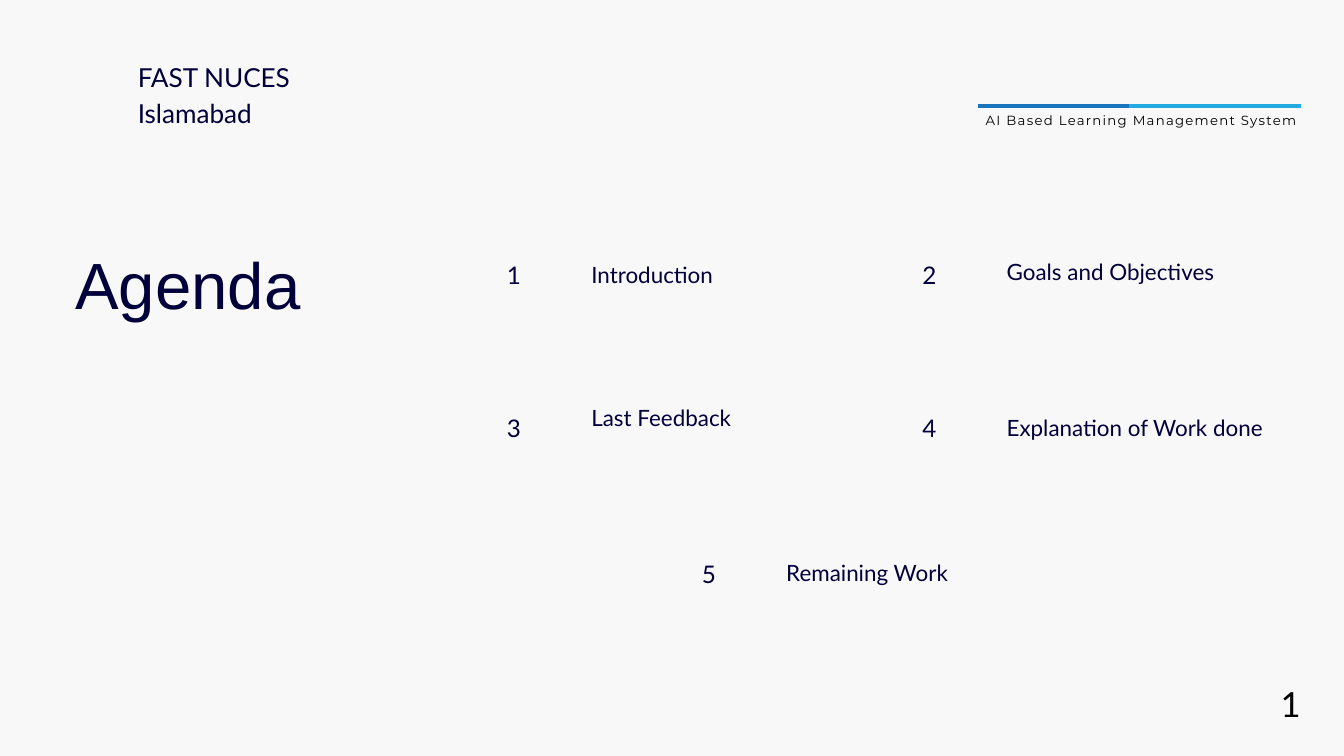
"""Build the agenda slide with five numbered topics and a ruled tagline."""
from dataclasses import dataclass

from lxml import etree
from pptx import Presentation
from pptx.dml.color import RGBColor
from pptx.enum import shapes, text
from pptx.oxml import ns
from pptx.util import Inches, Pt


@dataclass(frozen=True)
class Theme:
    background: RGBColor = RGBColor.from_string("F8F8F8")
    ink: RGBColor = RGBColor.from_string("01003B")
    black: RGBColor = RGBColor.from_string("000000")
    blue: RGBColor = RGBColor.from_string("1875BB")
    sky: RGBColor = RGBColor.from_string("23AAE1")
    body_font: str = "Lato"
    title_font: str = "Arial"
    tagline_font: str = "Montserrat"
    title: float = 70
    page_number: float = 37.1
    school: float = 28
    number: float = 26
    topic: float = 24
    tagline: float = 14.2


theme = Theme()
LEFT, CENTER = text.PP_ALIGN.LEFT, text.PP_ALIGN.CENTER


def write(shape, words, size, leading, color=theme.ink, font=theme.body_font,
          align=LEFT, anchor=text.MSO_ANCHOR.TOP):
    frame = shape.text_frame
    frame.word_wrap = True
    frame.auto_size = text.MSO_AUTO_SIZE.NONE
    frame.vertical_anchor = anchor
    frame.margin_left = frame.margin_top = frame.margin_right = frame.margin_bottom = 0
    para = frame.paragraphs[0]
    para.text = words
    para.alignment = align
    para.line_spacing = Pt(leading)
    para.font.name = font
    para.font.size = Pt(size)
    para.font.color.rgb = color
    return para


deck = Presentation()
deck.slide_width, deck.slide_height = Inches(20), Inches(11.25)
page = deck.slides.add_slide(deck.slide_layouts[5])
page.background.fill.solid()
page.background.fill.fore_color.rgb = theme.background

title = page.shapes.title
title.left, title.top, title.width, title.height = map(Inches, (1.12, 3.63, 4.08, 1.18))
write(title, "Agenda", theme.title, 84, font=theme.title_font)

badge_size = 0.87
topics = [
    ("Introduction", 7.65, 4.06, 3.82),
    ("Goals and Objectives", 13.83, 4.06, 3.78),
    ("Last Feedback", 7.65, 6.33, 5.94),
    ("Explanation of Work done", 13.83, 6.33, 6.09),
    ("Remaining Work", 10.55, 8.5, 8.26),
]
for number, (topic, center_x, center_y, topic_top) in enumerate(topics, start=1):
    badge = page.shapes.add_shape(
        shapes.MSO_SHAPE.OVAL, Inches(center_x - badge_size / 2),
        Inches(center_y - badge_size / 2), Inches(badge_size), Inches(badge_size))
    badge.shadow.inherit = False
    badge.fill.solid()
    badge.fill.fore_color.rgb = theme.background
    badge.line.fill.background()
    write(badge, str(number), theme.number, 36.4, align=CENTER, anchor=text.MSO_ANCHOR.MIDDLE)
    box = page.shapes.add_textbox(
        Inches(center_x + 1.15), Inches(topic_top), Inches(3.9), Inches(0.44))
    write(box, topic, theme.topic, 33.6)

school = page.shapes.add_textbox(Inches(2.05), Inches(0.83), Inches(3.55), Inches(1.07))
write(school, "FAST NUCES Islamabad", theme.school, 39.2)

rule_y, rule_end = Inches(1.58), Inches(19.36)
for start, color in [(14.55, theme.blue), (16.8, theme.sky)]:
    rule = page.shapes.add_connector(
        shapes.MSO_CONNECTOR.STRAIGHT, Inches(start), rule_y, rule_end, rule_y)
    rule.line.color.rgb = color
    rule.line.width = Pt(4.5)
    etree.SubElement(rule._element.spPr, ns.qn("a:effectLst"))

tagline = page.shapes.add_textbox(Inches(14.39), Inches(1.63), Inches(5.18), Inches(0.27))
para = write(tagline, "AI Based Learning Management System", theme.tagline, 19.9,
             theme.black, theme.tagline_font, CENTER)
para.runs[0]._r.get_or_add_rPr().set("spc", "140")

page_number = page.shapes.add_textbox(Inches(19.05), Inches(10.06), Inches(0.31), Inches(0.68))
write(page_number, "1", theme.page_number, 51.9, theme.black, align=CENTER)

deck.save("out.pptx")
